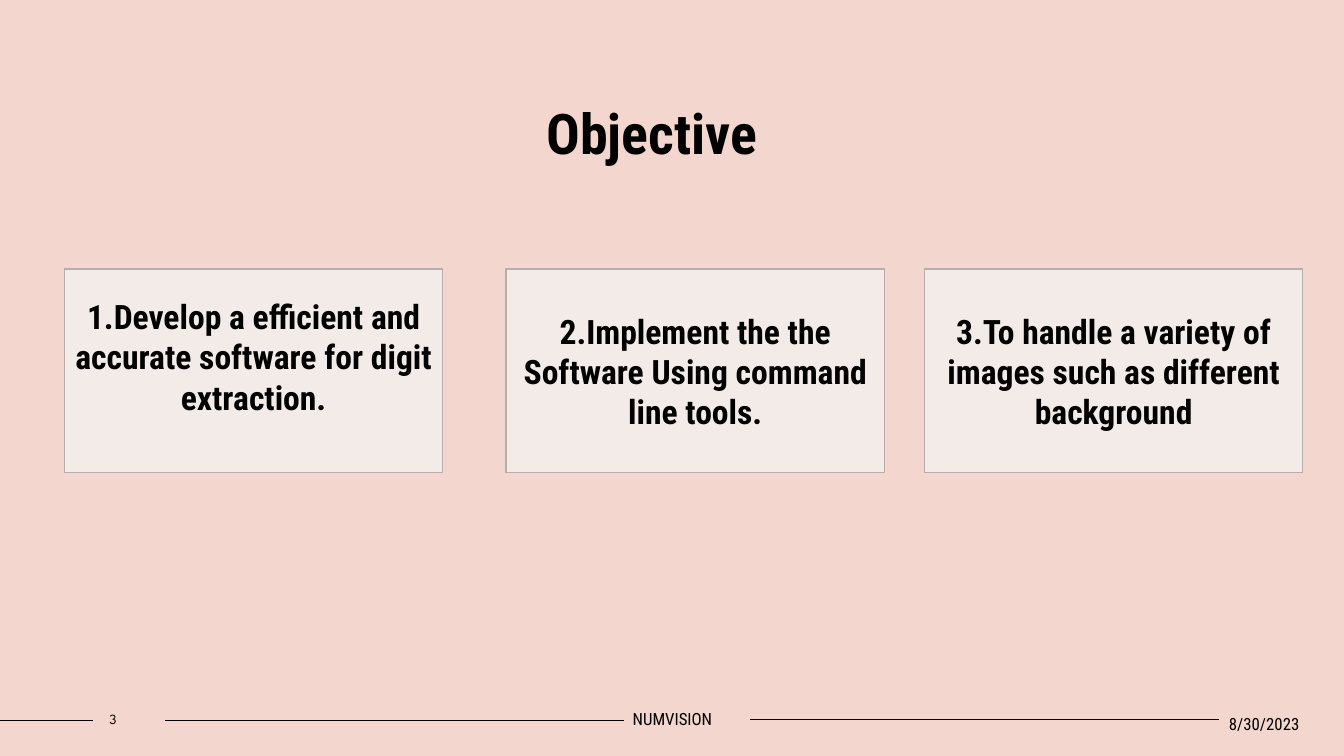
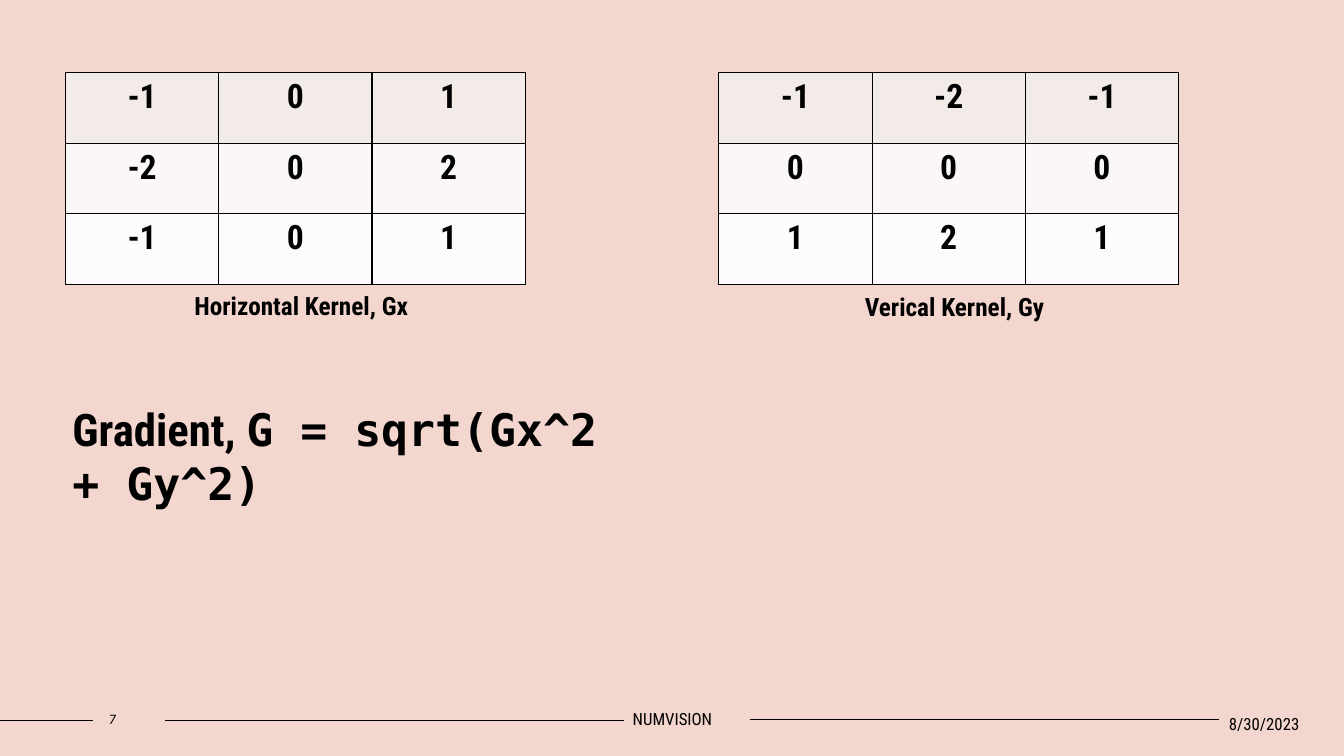
"""Build the objective slide and the gradient kernel slide."""
from lxml.etree import SubElement
from pptx import Presentation
from pptx.dml.color import RGBColor
from pptx.enum.shapes import MSO_CONNECTOR, MSO_SHAPE
from pptx.enum.text import MSO_ANCHOR, MSO_AUTO_SIZE, PP_ALIGN
from pptx.oxml.ns import qn
from pptx.util import Pt

PX = 9144
PINK = RGBColor(0xF3, 0xD6, 0xCD)
CARD = RGBColor(0xF3, 0xEB, 0xE8)
EDGE = RGBColor(0xB4, 0xAE, 0xAC)
BLACK = RGBColor(0, 0, 0)
ROW_FILLS = [CARD, RGBColor(0xFA, 0xF7, 0xF6), RGBColor(0xFD, 0xFB, 0xFB)]
FONT, MONO, NUMBER_FONT = "Roboto Condensed", "DejaVu Sans Mono", "League Spartan"


def write(tf, text, size, bold=True, align=PP_ALIGN.CENTER, font=FONT):
    p = tf.paragraphs[0]
    p.text = text
    p.alignment = align
    p.font.size, p.font.bold, p.font.name = Pt(size), bold, font
    p.font.color.rgb = BLACK
    return p


def add_text(s, box, text, size, bold=True, align=PP_ALIGN.LEFT, font=FONT,
             anchor=MSO_ANCHOR.TOP):
    tf = s.shapes.add_textbox(*[v * PX for v in box]).text_frame
    tf.word_wrap = True
    tf.vertical_anchor = anchor
    write(tf, text, size, bold, align, font)
    return tf


prs = Presentation()
prs.slide_width, prs.slide_height = 1333 * PX, 750 * PX
fill = prs.slide_master.background.fill
fill.solid()
fill.fore_color.rgb = PINK

objective = prs.slides.add_slide(prs.slide_layouts[5])
kernels = prs.slides.add_slide(prs.slide_layouts[6])

for s, number in ((objective, "3"), (kernels, "7")):
    for x1, x2, y in ((0, 92, 715), (164, 619, 715), (744, 1209, 714)):
        line = s.shapes.add_connector(MSO_CONNECTOR.STRAIGHT, x1 * PX, y * PX, x2 * PX, y * PX)
        line.line.color.rgb = BLACK
        line.line.width = Pt(1)
        SubElement(line._element.spPr, qn("a:effectLst"))
    add_text(s, (1209, 703, 125, 30), "8/30/2023", 12, False)
    tf = add_text(s, (92, 700, 40, 27), number, 10, False, PP_ALIGN.CENTER,
                  NUMBER_FONT, MSO_ANCHOR.MIDDLE)
    tf.margin_left = tf.margin_right = 0
    add_text(s, (587, 700, 160, 27), "NUMVISION", 12, False, PP_ALIGN.CENTER,
             anchor=MSO_ANCHOR.MIDDLE)

title = objective.shapes.title
title.left, title.top, title.width, title.height = [v * PX for v in (377, 93, 539, 77)]
tf = title.text_frame
tf.auto_size = MSO_AUTO_SIZE.NONE
tf.vertical_anchor = MSO_ANCHOR.TOP
write(tf, "Objective", 40)

GOALS = [
    (64, 34, "1.Develop a efficient and accurate software for digit extraction."),
    (502, 5, "2.Implement the the Software Using command line tools."),
    (917, 5, "3.To handle a variety of images such as different background"),
]
for x, bottom, text in GOALS:
    sp = objective.shapes.add_shape(MSO_SHAPE.RECTANGLE, x * PX, 267 * PX, 375 * PX, 202 * PX)
    sp.shadow.inherit = False
    sp.fill.solid()
    sp.fill.fore_color.rgb = CARD
    sp.line.color.rgb = EDGE
    sp.line.width = Pt(1)
    tf = sp.text_frame
    tf.word_wrap = True
    tf.vertical_anchor = MSO_ANCHOR.MIDDLE
    tf.margin_bottom = bottom * PX
    write(tf, text, 24)

KERNELS = [
    (65, [(-1, 0, 1), (-2, 0, 2), (-1, 0, 1)]),
    (713, [(-1, -2, -1), (0, 0, 0), (1, 2, 1)]),
]
for x, rows in KERNELS:
    table = kernels.shapes.add_table(3, 3, x * PX, 72 * PX, 456 * PX, 210 * PX).table
    for i, row in enumerate(rows):
        for j, value in enumerate(row):
            cell = table.cell(i, j)
            write(cell.text_frame, str(value), 24)
            tc_pr = cell._tc.get_or_add_tcPr()
            for side in ("a:lnL", "a:lnR", "a:lnT", "a:lnB"):
                ln = SubElement(tc_pr, qn(side), w=str(Pt(1)))
                solid = SubElement(ln, qn("a:solidFill"))
                SubElement(solid, qn("a:srgbClr"), val=str(BLACK))
            cell.fill.solid()
            cell.fill.fore_color.rgb = ROW_FILLS[i]

add_text(kernels, (183, 283, 337, 40), "Horizontal Kernel, Gx", 18)
add_text(kernels, (848, 284, 337, 40), "Verical Kernel, Gy", 18)
tf = add_text(kernels, (62, 394, 579, 64), "Gradient, ", 32)
r = tf.paragraphs[0].add_run()
r.text = "G = sqrt(Gx^2 + Gy^2)"
r.font.name = MONO

prs.save("out.pptx")
